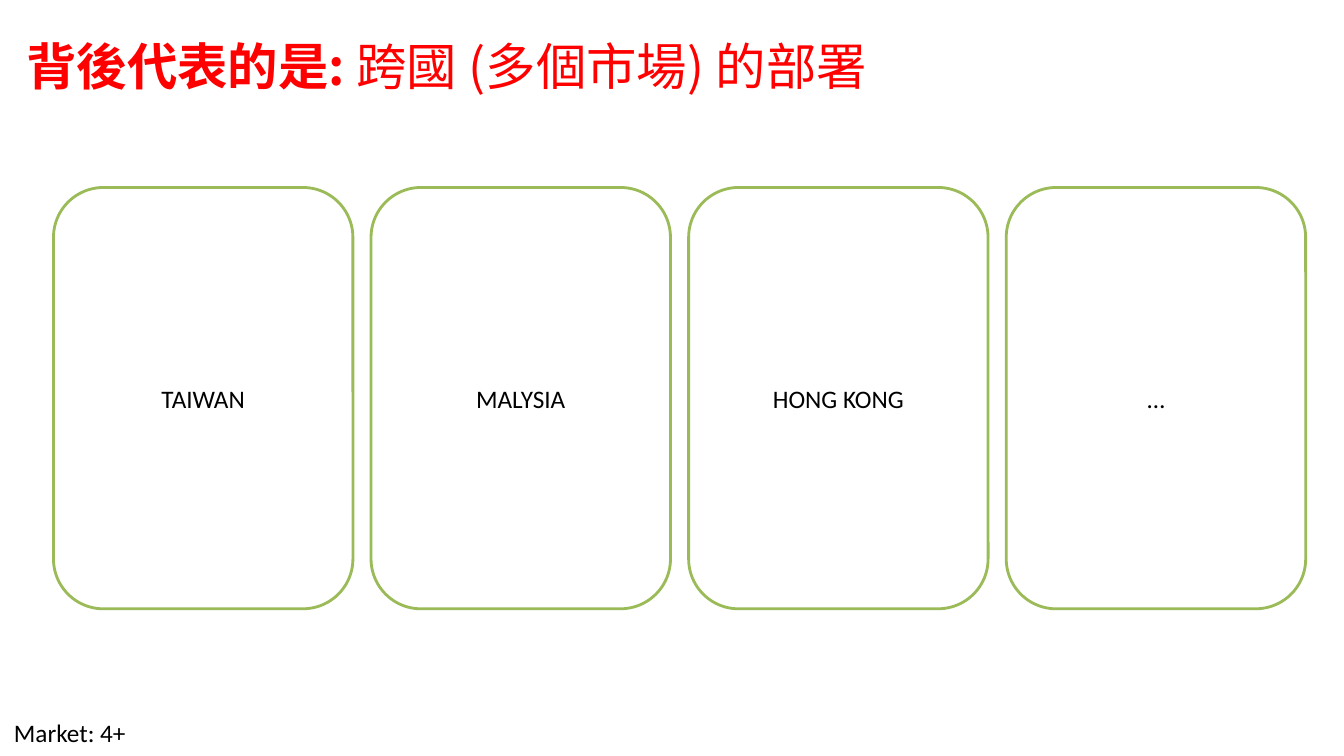
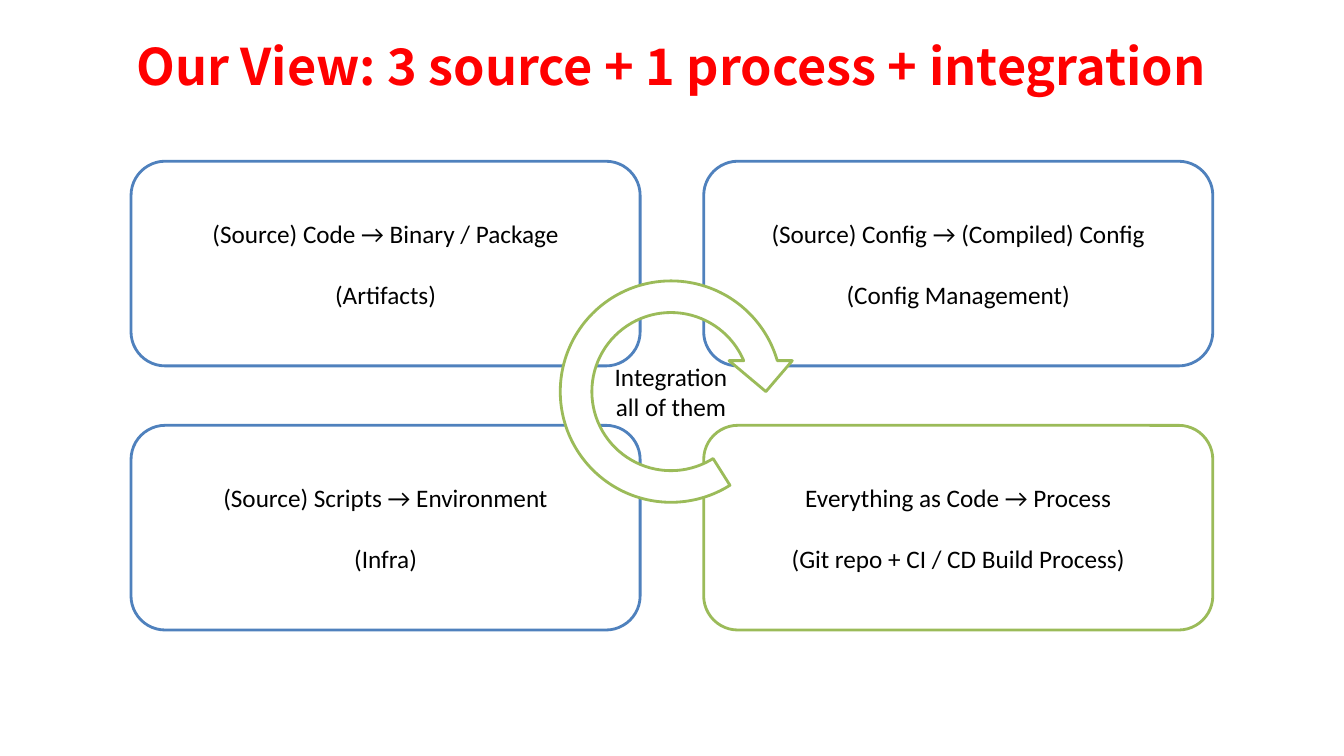
from lxml import etree
from pptx import Presentation
from pptx.dml.color import RGBColor
from pptx.enum.shapes import MSO_SHAPE
from pptx.enum.text import MSO_ANCHOR, MSO_AUTO_SIZE, PP_ALIGN
from pptx.oxml.ns import qn
from pptx.util import Inches, Pt

ROUND = MSO_SHAPE.ROUNDED_RECTANGLE
LOOP = MSO_SHAPE.CIRCULAR_ARROW
MIDDLE, TOP = MSO_ANCHOR.MIDDLE, MSO_ANCHOR.TOP
LEFT, CENTER = PP_ALIGN.LEFT, PP_ALIGN.CENTER
NO_FIT, GROW = MSO_AUTO_SIZE.NONE, MSO_AUTO_SIZE.SHAPE_TO_FIT_TEXT

RED, BLACK, WHITE = "FF0000", "000000", "FFFFFF"
GREEN, BLUE = "9BBB59", "4F81BD"
HEAD = {"name": "Noto Sans CJK SC", "size": Pt(36), "bold": True}
BODY = {"name": "Calibri", "size": Pt(18), "bold": False}
LINE = Pt(22)


def color(code):
    return RGBColor.from_string(code)


def apply(target, style):
    for key, value in style.items():
        setattr(target, key, value)


class Deck:
    def __init__(self):
        self.deck = Presentation()
        self.deck.slide_width = Inches(13.33)
        self.deck.slide_height = Inches(7.5)
        self.slide = None

    def area(self, left, top, width, height):
        wide, high = self.deck.slide_width, self.deck.slide_height
        return {
            "left": int(wide * left / 100),
            "top": int(high * top / 100),
            "width": int(wide * width / 100),
            "height": int(high * height / 100),
        }

    def run(self, para, text, style, tint):
        run = para.add_run()
        run.text = text
        apply(run.font, style)
        run.font.color.rgb = color(tint)
        east = etree.SubElement(run.font._element, qn("a:ea"))
        east.set("typeface", style["name"])

    def title(self, parts, align=LEFT):
        self.slide = self.deck.slides.add_slide(self.deck.slide_layouts[5])
        title = self.slide.shapes.title
        apply(title, self.area(0.98, 3.87, 97.9, 9.47))
        side, edge = Inches(0.13), Inches(0.07)
        apply(title.text_frame, {
            "margin_left": side, "margin_right": side,
            "margin_top": edge, "margin_bottom": edge,
            "vertical_anchor": MIDDLE, "word_wrap": True, "auto_size": NO_FIT,
        })
        para = title.text_frame.paragraphs[0]
        para.alignment = align
        for text, bold in parts:
            self.run(para, text, {**HEAD, "bold": bold}, RED)

    def text(self, frame, lines, align, gap=0):
        for index, line in enumerate(lines):
            para = frame.add_paragraph() if index else frame.paragraphs[0]
            para.alignment = align
            if index and gap:
                para.space_before = gap
            self.run(para, line, BODY, BLACK)

    def shape(self, kind, area, lines, edge, gap=0, adjust=()):
        shape = self.slide.shapes.add_shape(kind, **self.area(*area))
        shape.shadow.inherit = False
        shape.fill.solid()
        shape.fill.fore_color.rgb = color(WHITE)
        shape.line.color.rgb = color(edge)
        shape.line.width = Pt(2)
        for index, value in enumerate(adjust):
            shape.adjustments[index] = value
        apply(shape.text_frame, {"vertical_anchor": MIDDLE, "word_wrap": True})
        self.text(shape.text_frame, lines, CENTER, gap)

    def grid(self, area, step, cols, cards, gap=0):
        left, top, width, height = area
        for index, (lines, edge) in enumerate(cards):
            row, col = divmod(index, cols)
            place = (left + col * step[0], top + row * step[1], width, height)
            self.shape(ROUND, place, lines, edge, gap)

    def note(self, area, line):
        frame = self.slide.shapes.add_textbox(**self.area(*area)).text_frame
        apply(frame, {
            "word_wrap": False, "auto_size": GROW, "vertical_anchor": TOP,
        })
        self.text(frame, [line], LEFT)


def main():
    deck = Deck()

    deck.title([("背後代表的是: ", True), ("跨國 (多個市場) 的部署", False)])
    lands = ["TAIWAN", "MALYSIA", "HONG KONG", "…"]
    deck.grid((3.98, 24.8, 22.28, 55.73), (23.63, 0), 4,
              [([land], GREEN) for land in lands])
    deck.note((0.3, 94.27, 9.9, 5.33), "Market: 4+")

    deck.title([("Our View: 3 source + 1 process + integration", True)], CENTER)
    cards = [
        (["(Source) Code → Binary / Package", "(Artifacts)"], BLUE),
        (["(Source) Config → (Compiled) Config", "(Config Management)"], BLUE),
        (["(Source) Scripts → Environment", "(Infra)"], BLUE),
        (["Everything as Code → Process",
          "(Git repo + CI / CD Build Process)"], GREEN),
    ]
    deck.grid((9.75, 21.33, 37.88, 27.07), (42.61, 34.93), 2, cards, LINE)
    deck.shape(LOOP, (40.51, 35.07, 18.83, 33.47),
               ["Integration", "all of them"], GREEN,
               adjust=(0.125, 11.42, 204.58, 34.69, 0.125))

    deck.deck.save("out.pptx")


if __name__ == "__main__":
    main()
